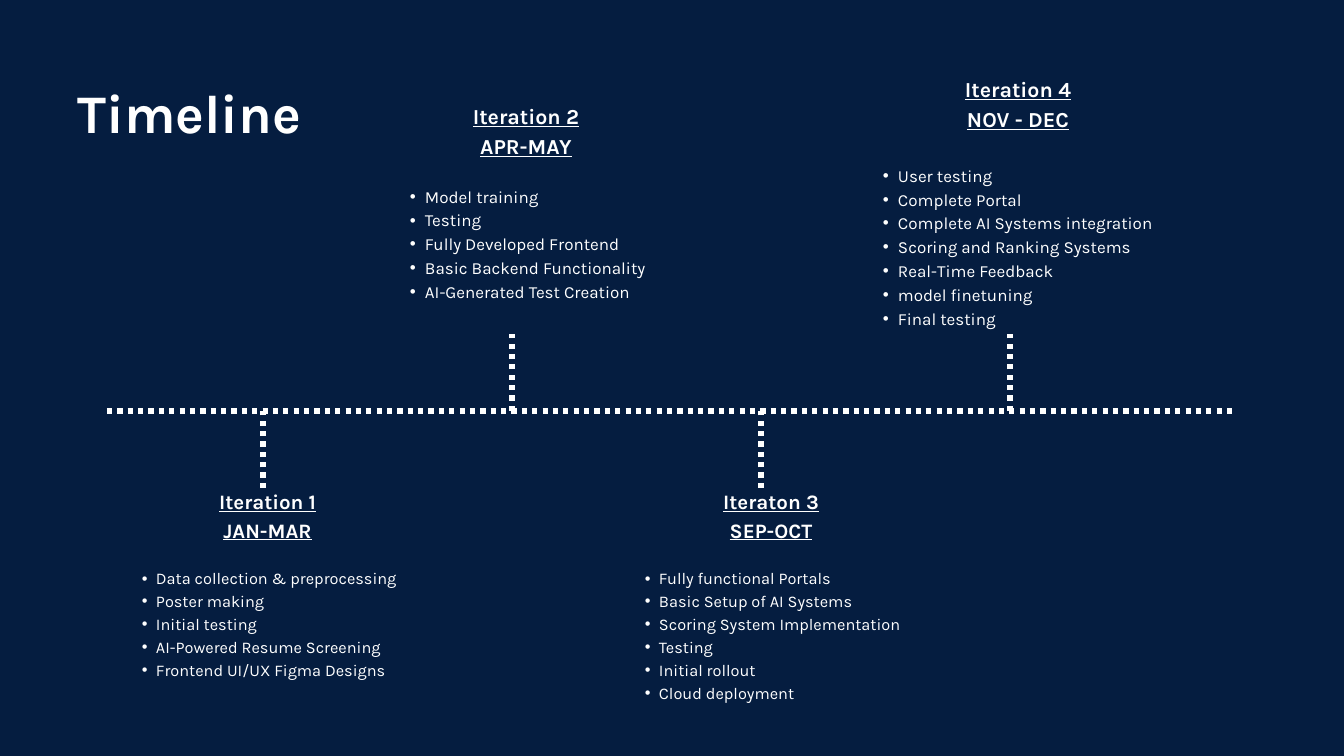
from pptx import Presentation
from pptx.dml.color import RGBColor
from pptx.enum import dml, shapes, text
from pptx.oxml import parse_xml
from pptx.oxml.ns import nsdecls
from pptx.util import Pt

NAVY = RGBColor(0x05, 0x1D, 0x40)
WHITE = RGBColor(0xFF, 0xFF, 0xFF)
FONT = "Karla"
PX = 914400 / 67.2

# Content: heading, period, box in px, tasks
TITLE = "Timeline"
ITERATIONS = [
    ("Iteration 1", "JAN-MAR", (128, 485, 279, 192), [
        "Data collection & preprocessing", "Poster making", "Initial testing",
        "AI-Powered Resume Screening", "Frontend UI/UX Figma Designs"]),
    ("Iteration 2", "APR-MAY", (396, 99, 260, 200), [
        "Model training", "Testing", "Fully Developed Frontend",
        "Basic Backend Functionality", "AI-Generated Test Creation"]),
    ("Iteraton 3", "SEP-OCT", (631, 485, 280, 214), [
        "Fully functional Portals", "Basic Setup of AI Systems",
        "Scoring System Implementation", "Testing", "Initial rollout",
        "Cloud deployment"]),
    ("Iteration 4", "NOV - DEC", (869, 72, 298, 254), [
        "User testing", "Complete Portal", "Complete AI Systems integration",
        "Scoring and Ranking Systems", "Real-Time Feedback",
        "model finetuning", "Final testing"]),
]

# Text formats below and above the axis, in points; indents in px
BELOW = dict(head=22, head_line=30.8, item=17.5, item_line=24.5, indent=28, hang=14)
ABOVE = dict(head=22.9, head_line=32.1, item=18.2, item_line=25.5, indent=29, hang=15)

# Axis and stems, in px
AXIS_LEFT, AXIS_RIGHT, AXIS_Y = 107, 1237, 411
STEM_LEFT, STEM_STEP, STEM_LENGTH = 263, 249, 77


def px(n):
    return round(n * PX)


def place(sp, box):
    sp.left, sp.top, sp.width, sp.height = map(px, box)
    tf = sp.text_frame
    tf.margin_left = tf.margin_right = tf.margin_top = tf.margin_bottom = 0
    tf.word_wrap = True
    tf.auto_size = text.MSO_AUTO_SIZE.NONE
    tf.vertical_anchor = text.MSO_ANCHOR.TOP
    return tf


def write(tf, words, size, line, bold=True, underline=False, before=0,
          indent=0, hang=0):
    p = tf.paragraphs[0]
    if p.runs:
        p = tf.add_paragraph()
    p.level = 1 if hang else 0
    p.alignment = text.PP_ALIGN.JUSTIFY if hang else text.PP_ALIGN.CENTER
    p.line_spacing, p.space_before, p.space_after = Pt(line), Pt(before), Pt(0)
    pPr = p._p.get_or_add_pPr()
    pPr.set("marL", str(px(indent)))
    pPr.set("indent", str(px(-hang)))
    bullet = 'buChar %s char="•"' if hang else "buNone %s"
    pPr.append(parse_xml(f"<a:{bullet % nsdecls('a')}/>"))
    r = p.add_run()
    r.text = words
    f = r.font
    f.name, f.size, f.bold, f.underline = FONT, Pt(size), bold, underline
    f.color.rgb = WHITE


def dotted_line(slide, x1, y1, x2, y2):
    line = slide.shapes.add_connector(
        shapes.MSO_CONNECTOR.STRAIGHT, px(x1), px(y1), px(x2), px(y2))
    line.line.color.rgb = WHITE
    line.line.width = Pt(5.56)
    line.line.dash_style = dml.MSO_LINE.ROUND_DOT
    line._element.spPr.append(parse_xml(f"<a:effectLst {nsdecls('a')}/>"))


def main():
    prs = Presentation()
    prs.slide_width, prs.slide_height = px(1344), px(756)
    slide = prs.slides.add_slide(prs.slide_layouts.get_by_name("Comparison"))
    slide.background.fill.solid()
    slide.background.fill.fore_color.rgb = NAVY
    title, *bodies = slide.placeholders

    # Title
    write(place(title, (75, 68, 229, 73)), TITLE, 58.2, 81.5)

    # Axis
    dotted_line(slide, AXIS_LEFT, AXIS_Y, AXIS_RIGHT, AXIS_Y)

    # Iterations, alternately below and above the axis
    for i, (body, (name, period, box, tasks)) in enumerate(zip(bodies, ITERATIONS)):
        is_above = i % 2 == 1
        fmt = ABOVE if is_above else BELOW
        x = STEM_LEFT + i * STEM_STEP
        end = AXIS_Y + (-STEM_LENGTH if is_above else STEM_LENGTH)
        dotted_line(slide, x, max(AXIS_Y, end), x, min(AXIS_Y, end))

        tf = place(body, box)
        for heading in (name, period):
            write(tf, heading, fmt["head"], fmt["head_line"], underline=True)
        gap = fmt["head_line"] if name == "Iteration 4" else fmt["item_line"]
        for n, task in enumerate(tasks):
            write(tf, task, fmt["item"], fmt["item_line"], bold=False,
                  before=0 if n else gap,
                  indent=fmt["indent"], hang=fmt["hang"])

    prs.save("out.pptx")


if __name__ == "__main__":
    main()
